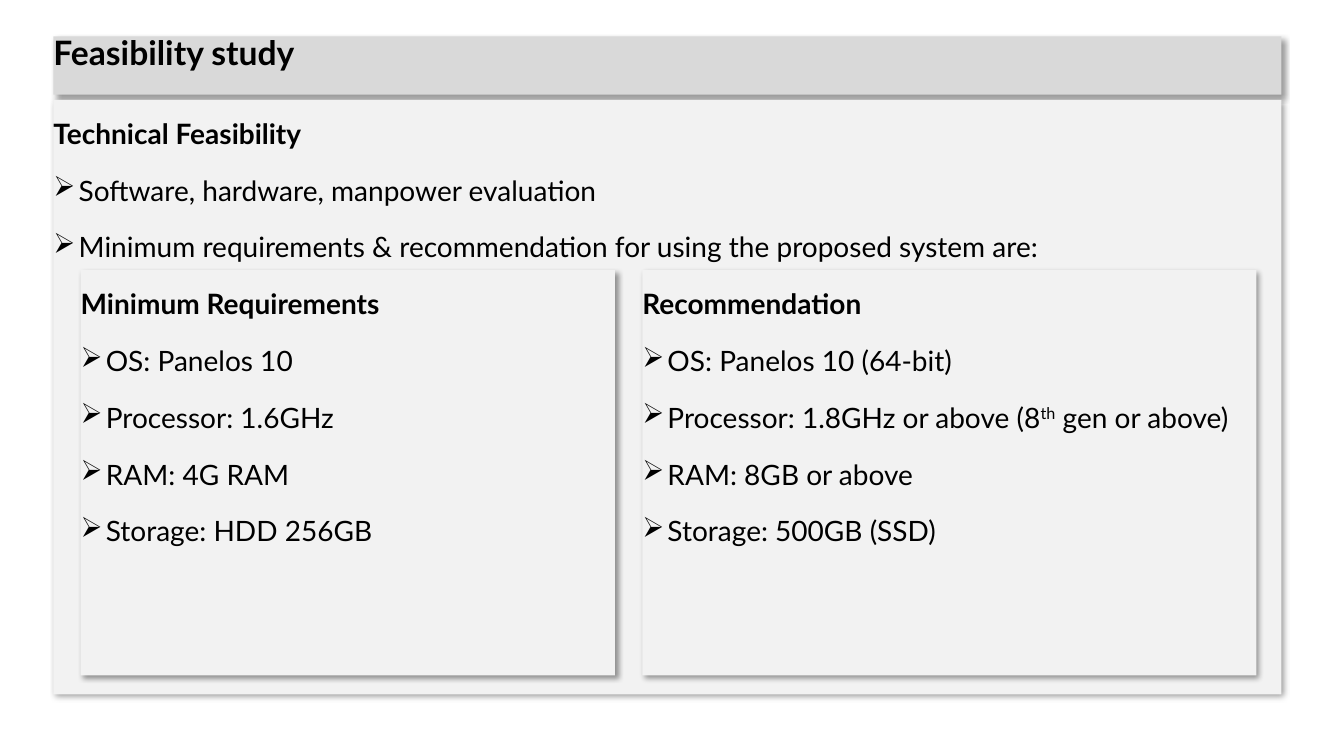
from lxml import etree
from pptx import Presentation
from pptx.dml.color import RGBColor
from pptx.enum.shapes import MSO_SHAPE
from pptx.enum.text import MSO_ANCHOR, PP_ALIGN
from pptx.oxml import parse_xml
from pptx.oxml.ns import nsdecls, qn
from pptx.util import Inches, Pt

RECTANGLE = MSO_SHAPE.RECTANGLE
TOP = MSO_ANCHOR.TOP
LEFT, JUSTIFY = PP_ALIGN.LEFT, PP_ALIGN.JUSTIFY
FONT = "Lato"
COLORS = {"title": "D9D9D9", "panel": "F2F2F2", "text": "000000"}
SHADOW = (
    f'<a:effectLst {nsdecls("a")}>'
    '<a:outerShdw blurRad="50800" dist="38100" dir="2700000" algn="tl" rotWithShape="0">'
    f'<a:srgbClr val="{COLORS["text"]}"><a:alpha val="40000"/></a:srgbClr>'
    '</a:outerShdw></a:effectLst>'
)


def add_panel(slide, left, top, width, height, fill):
    """Add a borderless rectangle with a soft shadow and no text margins."""
    shape = slide.shapes.add_shape(
        RECTANGLE, Inches(left), Inches(top), Inches(width), Inches(height))
    shape.fill.solid()
    shape.fill.fore_color.rgb = RGBColor.from_string(COLORS[fill])
    shape.line.fill.background()
    shape.shadow.inherit = False
    properties = shape._element.spPr
    properties.replace(properties.find(qn("a:effectLst")), parse_xml(SHADOW))
    frame = shape.text_frame
    frame.word_wrap = True
    frame.vertical_anchor = TOP
    frame.margin_left = frame.margin_top = frame.margin_right = frame.margin_bottom = 0
    return frame


def write_paragraph(paragraph, text, size, spacing, align, bold=False, bullet=False):
    """Fill a paragraph; text between carets is set as superscript."""
    paragraph.alignment = align
    paragraph.line_spacing = spacing
    paragraph.space_before = Pt(4.5)
    if bullet:
        properties = paragraph._p.get_or_add_pPr()
        properties.set("marL", str(Inches(0.25)))
        properties.set("indent", str(Inches(-0.25)))
        color = etree.SubElement(properties, qn("a:buClr"))
        etree.SubElement(color, qn("a:srgbClr"), val=COLORS["text"])
        etree.SubElement(properties, qn("a:buChar"), char="➢")
    for index, part in enumerate(text.split("^")):
        run = paragraph.add_run()
        run.text = part
        run.font.name = FONT
        run.font.size = Pt(size)
        run.font.bold = bold
        run.font.color.rgb = RGBColor.from_string(COLORS["text"])
        if index % 2:
            run.font._element.set("baseline", "30000")


presentation = Presentation()
presentation.slide_width = Inches(13.33)
presentation.slide_height = Inches(7.5)
slide = presentation.slides.add_slide(presentation.slide_layouts[6])

# Title bar
title = add_panel(slide, 0.53, 0.36, 12.18, 0.58, "title")
write_paragraph(title.paragraphs[0], "Feasibility study", 24, 0.9, LEFT, bold=True)

# Main panel and the two requirement panels on it
panels = [
    ((0.53, 0.99, 12.18, 5.9), "Technical Feasibility", [
        "Software, hardware, manpower evaluation",
        "Minimum requirements & recommendation for using the proposed system are:",
    ]),
    ((6.37, 2.68, 6.09, 4.02), "Recommendation", [
        "OS: Panelos 10 (64-bit)",
        "Processor: 1.8GHz or above (8^th^ gen or above)",
        "RAM: 8GB or above",
        "Storage: 500GB (SSD)",
    ]),
    ((0.8, 2.68, 5.3, 4.02), "Minimum Requirements", [
        "OS: Panelos 10",
        "Processor: 1.6GHz",
        "RAM: 4G RAM",
        "Storage: HDD 256GB",
    ]),
]
for box, heading, items in panels:
    frame = add_panel(slide, *box, "panel")
    write_paragraph(frame.paragraphs[0], heading, 20, 1.5, JUSTIFY, bold=True)
    for item in items:
        write_paragraph(frame.add_paragraph(), item, 20, 1.5, JUSTIFY, bullet=True)

presentation.save("out.pptx")
